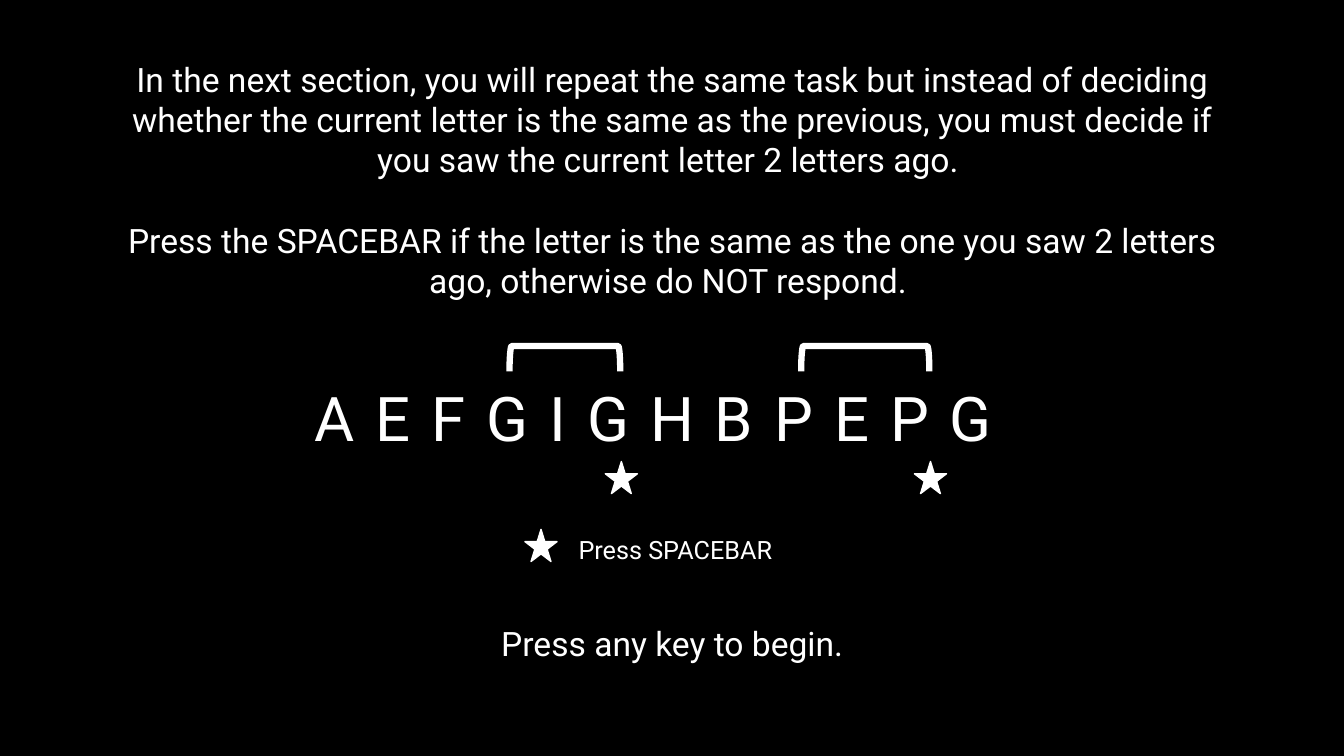
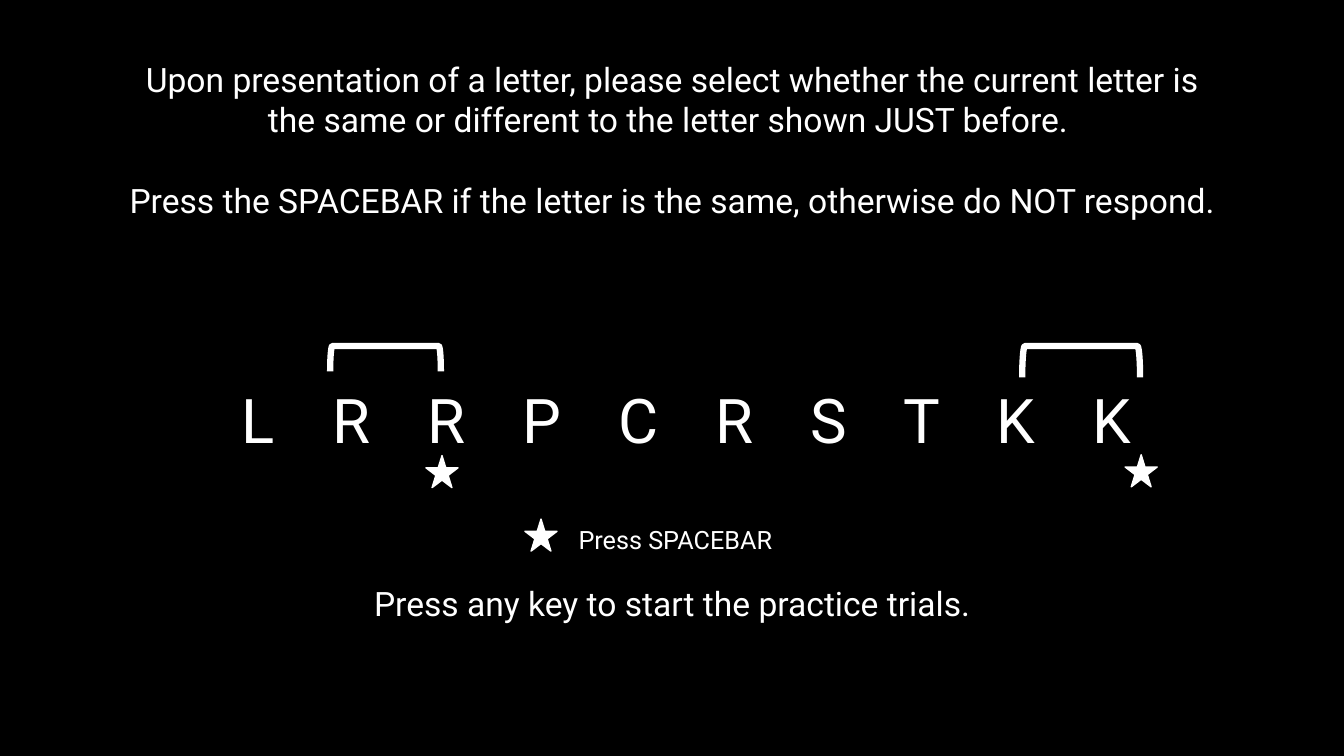
"""Build the instruction slides of a letter memory task."""
from dataclasses import dataclass

from pptx import Presentation
from pptx import util as u
from pptx.dml.color import RGBColor
from pptx.enum import shapes, text
from pptx.shapes.autoshape import Shape
from pptx.slide import Slide

COLOURS = {"background": "000000", "ink": "FFFFFF"}
FONT = "Roboto"
BODY_LEFT, BODY_TOP, BODY_WIDTH = 2.92, 1.35, 28.04
BODY_LINE = u.Pt(28.8).cm
BRACKET_TOP = 8.72
STAR_SIZE = 0.81
LEGEND_LEFT, LEGEND_GAP = 13.23, 1.1
LETTER_SPACING = 15


@dataclass(frozen=True)
class Match:
    left: float
    right: float
    bracket_height: float
    star_top: float


@dataclass(frozen=True)
class Instruction:
    paragraphs: tuple[str, ...]
    letters: str
    letters_left: float
    letters_top: float
    letters_width: float
    matches: tuple[Match, ...]
    legend_top: float
    prompt: str
    prompt_line: int


INSTRUCTIONS = (
    Instruction(
        paragraphs=(
            "In the next section, you will repeat the same task but instead of "
            "deciding whether the current letter is the same as the previous, you "
            "must decide if you saw the current letter 2 letters ago. ",
            "Press the SPACEBAR if the letter is the same as the one you saw "
            "2 letters ago, otherwise do NOT respond. ",
        ),
        letters="AEFGIGHBPEPG ",
        letters_left=7.29,
        letters_top=9.45,
        letters_width=19.28,
        matches=(Match(12.84, 15.63, 0.64, 11.63), Match(20.19, 23.42, 0.64, 11.63)),
        legend_top=13.34,
        prompt="Press any key to begin.",
        prompt_line=14,
    ),
    Instruction(
        paragraphs=(
            "Upon presentation of a letter, please select whether the current letter "
            "is the same or different to the letter shown JUST before. ",
            "Press the SPACEBAR if the letter is the same, otherwise do NOT respond. ",
        ),
        letters="L R R P C R S T K K ",
        letters_left=5.26,
        letters_top=9.5,
        letters_width=25.02,
        matches=(Match(8.32, 11.11, 0.64, 11.48), Match(25.76, 28.73, 0.79, 11.46)),
        legend_top=13.08,
        prompt="Press any key to start the practice trials.",
        prompt_line=13,
    ),
)


def colour(name: str) -> RGBColor:
    return RGBColor.from_string(COLOURS[name])


def add_text(slide: Slide, left: float, top: float, width: float, height: float,
             paragraphs: tuple[str, ...], size: float,
             align: text.PP_ALIGN = text.PP_ALIGN.CENTER) -> Shape:
    box = slide.shapes.add_textbox(u.Cm(left), u.Cm(top), u.Cm(width), u.Cm(height))
    frame = box.text_frame
    frame.word_wrap = True
    for index, wording in enumerate(paragraphs):
        paragraph = frame.add_paragraph() if index else frame.paragraphs[0]
        paragraph.add_run().text = wording
        paragraph.alignment = align
        paragraph.font.name = FONT
        paragraph.font.size = u.Pt(size)
        paragraph.font.color.rgb = colour("ink")
        if index:
            paragraph.space_before = u.Cm(BODY_LINE)
    return box


def add_star(slide: Slide, left: float, top: float) -> None:
    star = slide.shapes.add_shape(shapes.MSO_SHAPE.STAR_5_POINT, u.Cm(left), u.Cm(top),
                                  u.Cm(STAR_SIZE), u.Cm(STAR_SIZE))
    star.shadow.inherit = False
    star.fill.solid()
    star.fill.fore_color.rgb = colour("ink")
    star.line.color.rgb = colour("ink")
    star.line.width = u.Pt(1)


def add_match(slide: Slide, match: Match) -> None:
    span, height = match.right - match.left, match.bracket_height
    bracket = slide.shapes.add_shape(
        shapes.MSO_SHAPE.LEFT_BRACKET,
        u.Cm((match.left + match.right - height) / 2),
        u.Cm(BRACKET_TOP + (height - span) / 2),
        u.Cm(height), u.Cm(span))
    bracket.rotation = 90
    bracket.shadow.inherit = False
    bracket.fill.background()
    bracket.line.color.rgb = colour("ink")
    bracket.line.width = u.Pt(4.5)
    add_star(slide, match.right - STAR_SIZE / 2 + 0.03, match.star_top)


def add_instruction(deck: Presentation, instruction: Instruction) -> None:
    slide = deck.slides.add_slide(deck.slide_layouts[6])
    slide.background.fill.solid()
    slide.background.fill.fore_color.rgb = colour("background")

    add_text(slide, BODY_LEFT, BODY_TOP, BODY_WIDTH, 6.7, instruction.paragraphs, 24)
    sequence = add_text(slide, instruction.letters_left, instruction.letters_top,
                        instruction.letters_width, 2.13, (instruction.letters,), 44)
    for run in sequence.text_frame.paragraphs[0].runs:
        run._r.get_or_add_rPr().set("spc", str(LETTER_SPACING * 100))
    for match in instruction.matches:
        add_match(slide, match)

    add_star(slide, LEGEND_LEFT, instruction.legend_top)
    add_text(slide, LEGEND_LEFT + LEGEND_GAP, instruction.legend_top, 6.86, 1.02,
             ("Press SPACEBAR",), 18, text.PP_ALIGN.LEFT)
    add_text(slide, BODY_LEFT, BODY_TOP + instruction.prompt_line * BODY_LINE,
             BODY_WIDTH, 1.28, (instruction.prompt,), 24)


def main() -> None:
    deck = Presentation()
    deck.slide_width, deck.slide_height = u.Cm(33.87), u.Cm(19.05)
    for instruction in INSTRUCTIONS:
        add_instruction(deck, instruction)
    deck.save("out.pptx")


if __name__ == "__main__":
    main()
